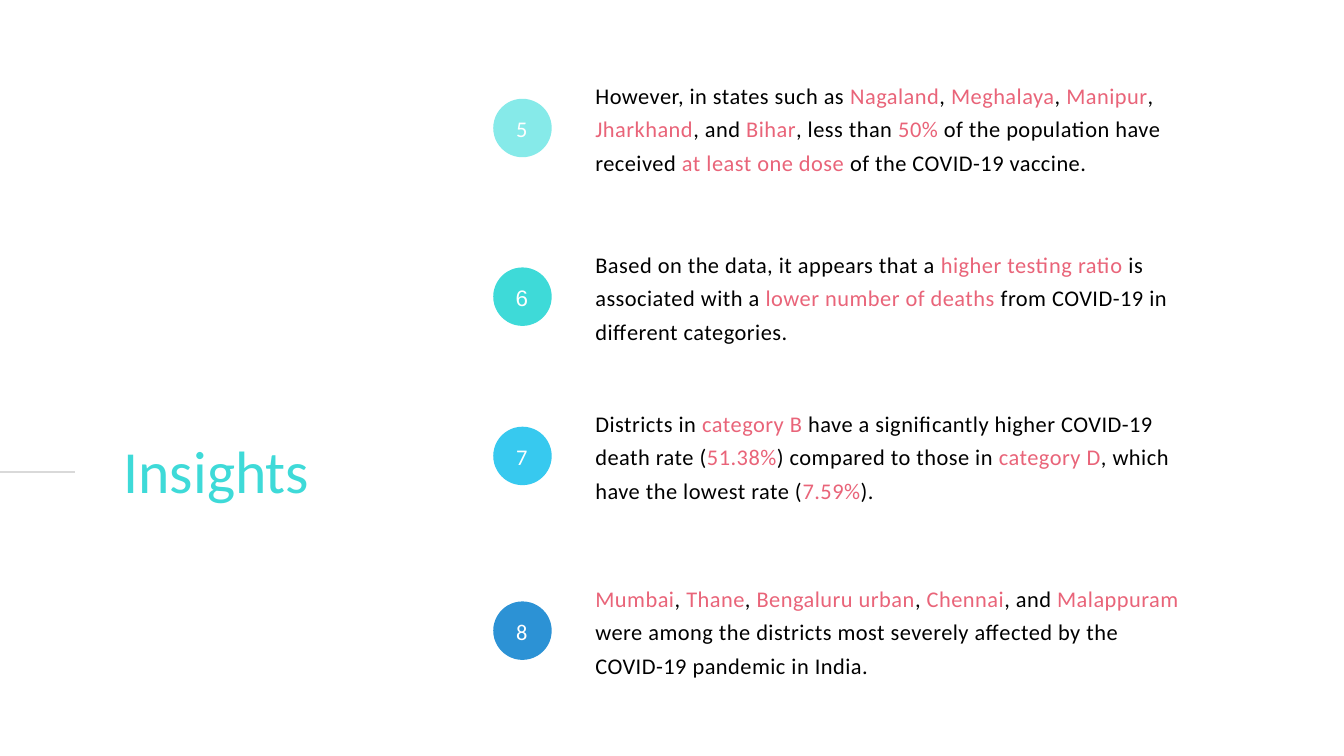
from lxml import etree
from pptx import Presentation
from pptx.dml.color import RGBColor
from pptx.enum.shapes import MSO_CONNECTOR, MSO_SHAPE
from pptx.enum.text import MSO_ANCHOR, PP_ALIGN
from pptx.oxml.ns import qn
from pptx.util import Inches, Pt

OVAL = MSO_SHAPE.OVAL
STRAIGHT = MSO_CONNECTOR.STRAIGHT
MIDDLE = MSO_ANCHOR.MIDDLE
TOP = MSO_ANCHOR.TOP
CENTER = PP_ALIGN.CENTER
LEFT = PP_ALIGN.LEFT

COLORS = {
    "text": "000000",
    "highlight": "E96479",
    "title": "3EDAD8",
    "number": "FFFFFF",
    "rule": "D9D9D9",
    "mint": "86EAE9",
    "turquoise": "3EDAD8",
    "sky": "37C9EF",
    "blue": "2C92D5",
}

# Number, top, badge colour, number font, text with *highlighted* parts
INSIGHTS = [
    ("5", 1.12, "mint", "Calibri",
     "However, in states such as *Nagaland*, *Meghalaya*, *Manipur*, *Jharkhand*, and *Bihar*, "
     "less than *50%* of the population have received *at least one dose* of the COVID-19 vaccine."),
    ("6", 3.63, "turquoise", "Arial",
     "Based on the data, it appears that a *higher testing ratio* is associated with a "
     "*lower number of deaths* from COVID-19 in different categories."),
    ("7", 6, "sky", "Calibri",
     "Districts in *category B* have a significantly higher COVID-19 death rate (*51.38%*) "
     "compared to those in *category D*, which have the lowest rate (*7.59%*)."),
    ("8", 8.6, "blue", "Calibri",
     "*Mumbai*, *Thane*, *Bengaluru urban*, *Chennai*, and *Malappuram* were among the districts "
     "most severely affected by the COVID-19 pandemic in India."),
]


class SlideBuilder:
    def __init__(self, slide):
        self.slide = slide

    def color(self, name):
        return RGBColor.from_string(COLORS[name])

    def format_run(self, run, size, color, font="Calibri"):
        run.font.size = Pt(size)
        run.font.name = font
        run.font.color.rgb = self.color(color)

    def text_box(self, left, top, width, height, line_spacing, inset=0, anchor=TOP, align=LEFT):
        """Add an empty text box and return its first paragraph."""
        shape = self.slide.shapes.add_textbox(
            Inches(left), Inches(top), Inches(width), Inches(height))
        frame = shape.text_frame
        frame.word_wrap = True
        frame.vertical_anchor = anchor
        frame.margin_left = frame.margin_right = Inches(inset)
        frame.margin_top = frame.margin_bottom = Inches(inset)
        paragraph = frame.paragraphs[0]
        paragraph.line_spacing = Pt(line_spacing)
        paragraph.alignment = align
        return paragraph

    def title(self, text):
        paragraph = self.text_box(1.84, 6.43, 6.64, 1.08, 78.7)
        paragraph.text = text
        self.format_run(paragraph.runs[0], 64, "title")

    def statement(self, top, marked_text):
        """Write a statement, colouring the parts between asterisks."""
        paragraph = self.text_box(8.86, top, 9.13, 1.48, 36)
        for index, part in enumerate(marked_text.split("*")):
            if part:
                run = paragraph.add_run()
                run.text = part
                self.format_run(run, 24, "highlight" if index % 2 else "text")
                run.font._element.set("spc", "50")

    def badge(self, top, number, color, font):
        circle = self.slide.shapes.add_shape(
            OVAL, Inches(7.34), Inches(top), Inches(0.87), Inches(0.87))
        circle.shadow.inherit = False
        circle.fill.solid()
        circle.fill.fore_color.rgb = self.color(color)
        circle.line.fill.background()
        paragraph = self.text_box(7.41, top + 0.03, 0.71, 0.76, 33.6, 0.06, MIDDLE, CENTER)
        paragraph.text = number
        self.format_run(paragraph.runs[0], 24, "number", font)

    def rule(self, left, right, y):
        line = self.slide.shapes.add_connector(
            STRAIGHT, Inches(left), Inches(y), Inches(right), Inches(y))
        line.line.color.rgb = self.color("rule")
        line.line.width = Pt(2.25)
        etree.SubElement(line._element.spPr, qn("a:effectLst"))


def main():
    presentation = Presentation()
    presentation.slide_width = Inches(20)
    presentation.slide_height = Inches(11.25)
    builder = SlideBuilder(presentation.slides.add_slide(presentation.slide_layouts[6]))

    builder.title("Insights")
    for number, top, color, font, text in INSIGHTS:
        builder.statement(top, text)
        builder.badge(top + 0.35, number, color, font)
    builder.rule(0, 1.12, 7.03)

    presentation.save("out.pptx")


if __name__ == "__main__":
    main()
